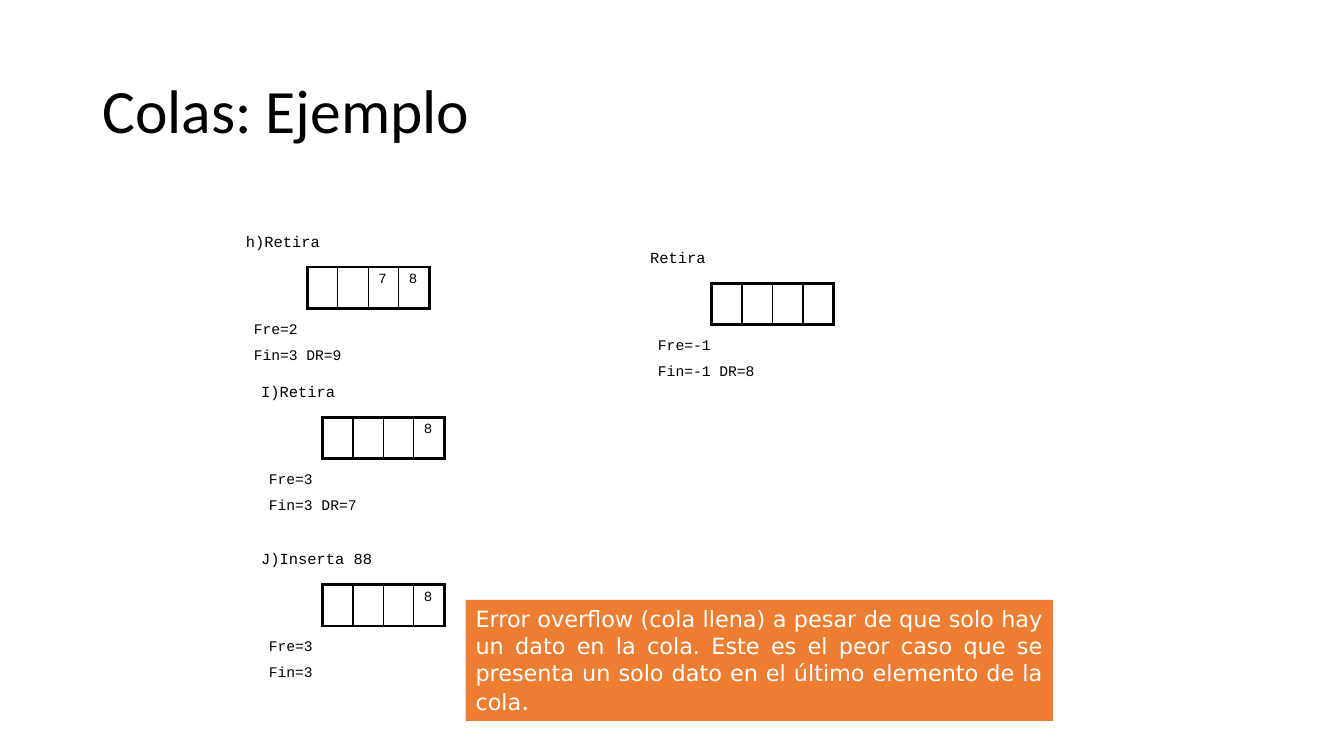
from dataclasses import dataclass

import pptx
import pptx.dml.color
import pptx.enum.shapes
import pptx.enum.text
import pptx.oxml
import pptx.oxml.ns
import pptx.util

Pt = pptx.util.Pt
Align = pptx.enum.text.PP_ALIGN
AutoSize = pptx.enum.text.MSO_AUTO_SIZE
Anchor = pptx.enum.text.MSO_ANCHOR


@dataclass(frozen=True)
class Theme:
    ink: str = "000000"
    paper: str = "FFFFFF"
    warning: str = "ED7D31"
    heading_font: str = "Calibri"
    code_font: str = "Courier New"
    warning_font: str = "DejaVu Sans"
    heading_size: float = 44
    operation_size: float = 11
    state_size: float = 10.5
    value_size: float = 10
    warning_size: float = 16
    warning_stop_size: float = 18
    outer_line: float = 2.25
    inner_line: float = 1


@dataclass(frozen=True)
class QueueStep:
    operation: str
    values: tuple[str, ...]
    state: tuple[str, ...]
    left: float
    top: float


THEME = Theme()
CELL_WIDTH = 21.75
CELL_HEIGHT = 29.5
OPERATION_OFFSET = (-51, -28.8)
STATE_OFFSET = (-45.4, 33.8)

STEPS = (
    QueueStep("h)Retira", ("", "", "7", "8"), ("Fre=2", "Fin=3 DR=9"), 219.6, 190.8),
    QueueStep("I)Retira", ("", "", "", "8"), ("Fre=3", "Fin=3 DR=7"), 230.4, 298.1),
    QueueStep("J)Inserta 88", ("", "", "", "8"), ("Fre=3", "Fin=3"), 230.4, 417.6),
    QueueStep("Retira", ("", "", "", ""), ("Fre=-1", "Fin=-1 DR=8"), 508.3, 202.3),
)


def write(paragraph, text: str, *, size: float, font: str = THEME.code_font,
          color: str = THEME.ink, align=Align.LEFT, before: float = 0,
          line_spacing: float = 1.0) -> None:
    paragraph.alignment = align
    paragraph.line_spacing = line_spacing
    if before:
        paragraph.space_before = Pt(before)
    run = paragraph.add_run()
    run.text = text
    run.font.size = Pt(size)
    run.font.name = font
    run.font.color.rgb = pptx.dml.color.RGBColor.from_string(color)


def add_code_lines(slide, lines: tuple[str, ...], left: float, top: float,
                   width: float, height: float, size: float) -> None:
    frame = slide.shapes.add_textbox(Pt(left), Pt(top), Pt(width), Pt(height)).text_frame
    frame.word_wrap = True
    frame.auto_size = AutoSize.SHAPE_TO_FIT_TEXT
    for index, line in enumerate(lines):
        paragraph = frame.add_paragraph() if index else frame.paragraphs[0]
        write(paragraph, line, size=size, before=6 if index else 0)


def set_borders(cell, first: bool, last: bool) -> None:
    widths = {
        "lnL": THEME.outer_line if first else THEME.inner_line,
        "lnR": THEME.outer_line if last else THEME.inner_line,
        "lnT": THEME.outer_line,
        "lnB": THEME.outer_line,
    }
    properties = cell._tc.get_or_add_tcPr()
    for index, (side, width) in enumerate(widths.items()):
        properties.insert(index, pptx.oxml.parse_xml(
            f'<a:{side} {pptx.oxml.ns.nsdecls("a")} w="{Pt(width)}"><a:solidFill>'
            f'<a:srgbClr val="{THEME.ink}"/></a:solidFill></a:{side}>'))


def add_queue(slide, step: QueueStep) -> None:
    count = len(step.values)
    queue = slide.shapes.add_table(1, count, Pt(step.left), Pt(step.top),
                                   Pt(CELL_WIDTH * count), Pt(CELL_HEIGHT)).table
    queue.first_row = False
    queue.horz_banding = False
    for index, value in enumerate(step.values):
        queue.columns[index].width = Pt(CELL_WIDTH)
        cell = queue.cell(0, index)
        cell.fill.background()
        set_borders(cell, index == 0, index == count - 1)
        if value:
            write(cell.text_frame.paragraphs[0], value, size=THEME.value_size)


def add_step(slide, step: QueueStep) -> None:
    add_queue(slide, step)
    add_code_lines(slide, step.state, step.left + STATE_OFFSET[0],
                   step.top + STATE_OFFSET[1], 85, 38.9, THEME.state_size)
    add_code_lines(slide, (step.operation,), step.left + OPERATION_OFFSET[0],
                   step.top + OPERATION_OFFSET[1], 124.6, 20.9, THEME.operation_size)


def add_heading(slide) -> None:
    heading = slide.shapes.title
    heading.left, heading.top = Pt(66), Pt(28.8)
    heading.width, heading.height = Pt(828), Pt(104.4)
    frame = heading.text_frame
    frame.auto_size = AutoSize.NONE
    frame.vertical_anchor = Anchor.MIDDLE
    write(frame.paragraphs[0], "Colas: Ejemplo", size=THEME.heading_size,
          font=THEME.heading_font, line_spacing=0.9)


def add_warning(slide) -> None:
    warning = slide.shapes.add_shape(pptx.enum.shapes.MSO_SHAPE.RECTANGLE,
                                     Pt(332.6), Pt(428.6), Pt(419.6), Pt(86.4))
    warning.shadow.inherit = False
    warning.fill.solid()
    warning.fill.fore_color.rgb = pptx.dml.color.RGBColor.from_string(THEME.warning)
    warning.line.fill.background()
    frame = warning.text_frame
    frame.word_wrap = True
    frame.auto_size = AutoSize.SHAPE_TO_FIT_TEXT
    frame.vertical_anchor = Anchor.TOP
    message = (
        "Error overflow (cola llena) a pesar de que solo hay un dato en la cola. "
        "Este es el peor caso que se presenta un solo dato en el último elemento de la cola"
    )
    for text, size in ((message, THEME.warning_size), (".", THEME.warning_stop_size)):
        write(frame.paragraphs[0], text, size=size, font=THEME.warning_font,
              color=THEME.paper, align=Align.JUSTIFY)


def main() -> None:
    deck = pptx.Presentation()
    deck.slide_width, deck.slide_height = Pt(960), Pt(540)
    slide = deck.slides.add_slide(deck.slide_layouts.get_by_name("Title Only"))
    add_heading(slide)
    for step in STEPS:
        add_step(slide, step)
    add_warning(slide)
    deck.save("out.pptx")


if __name__ == "__main__":
    main()
